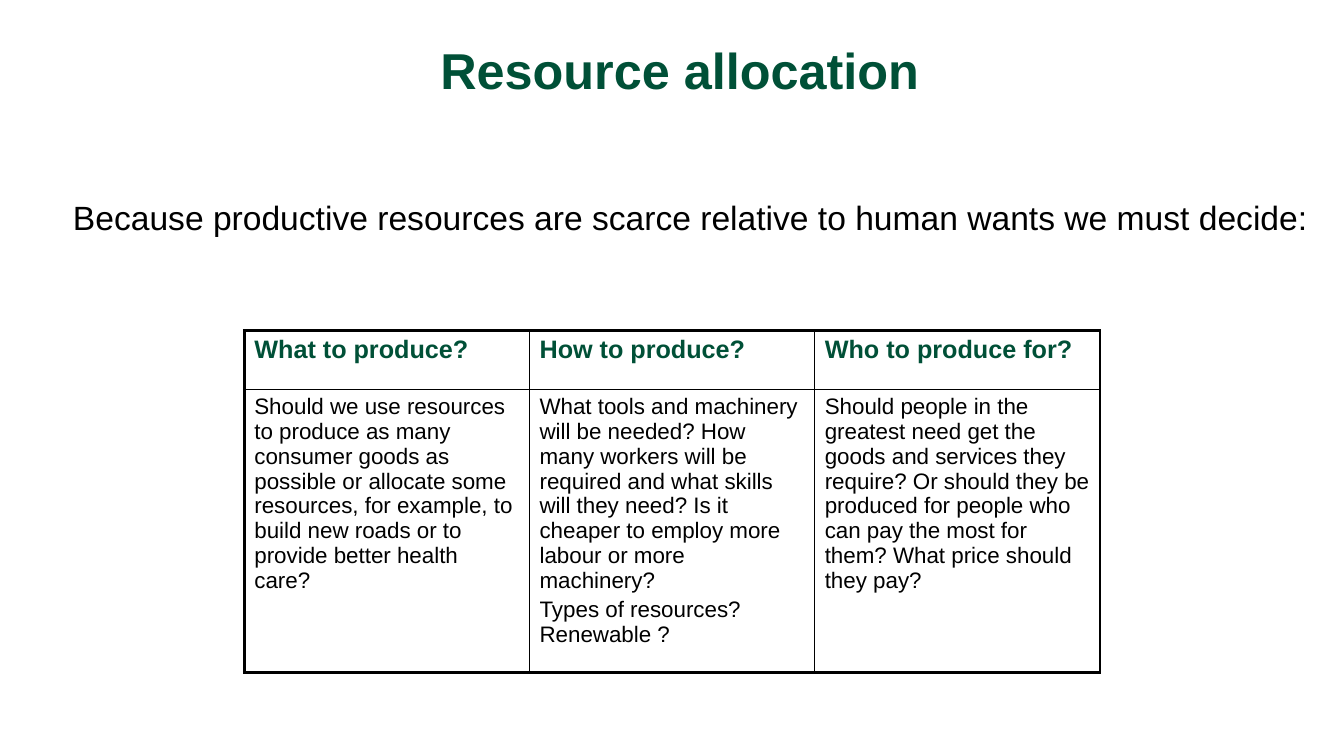
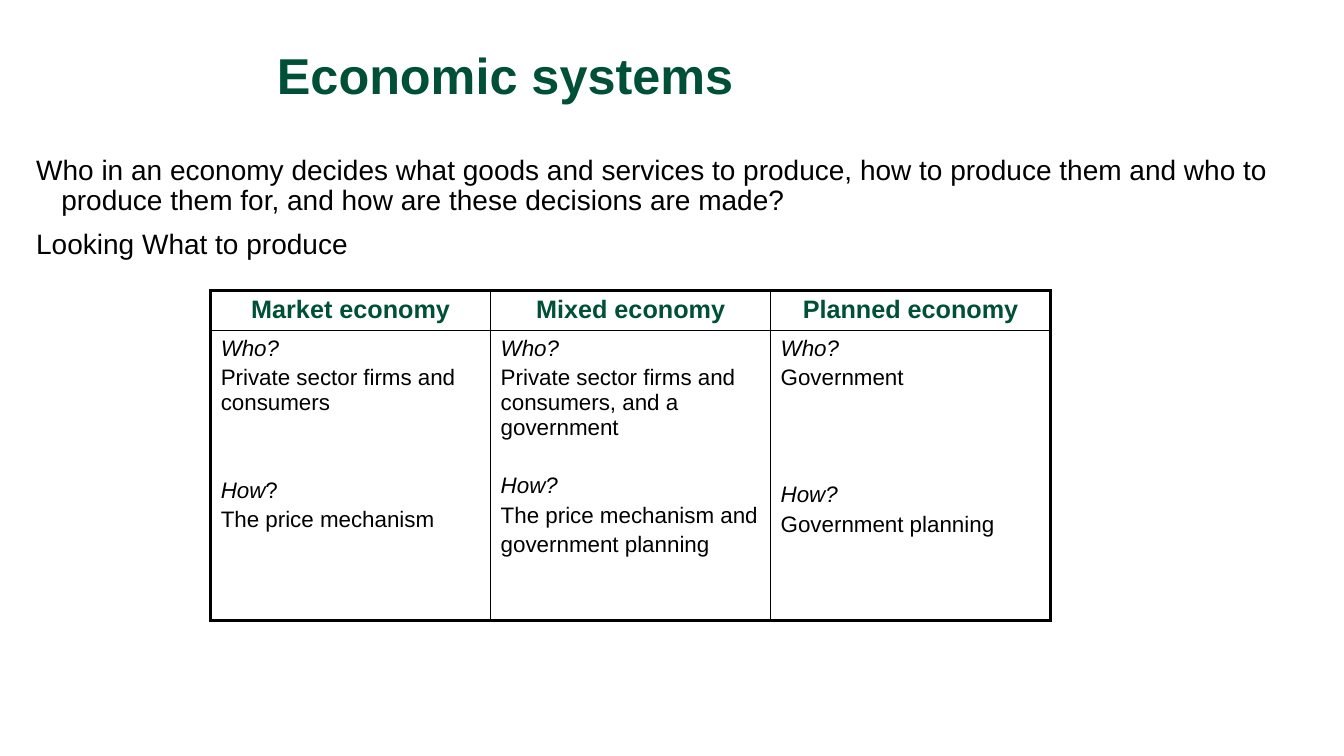
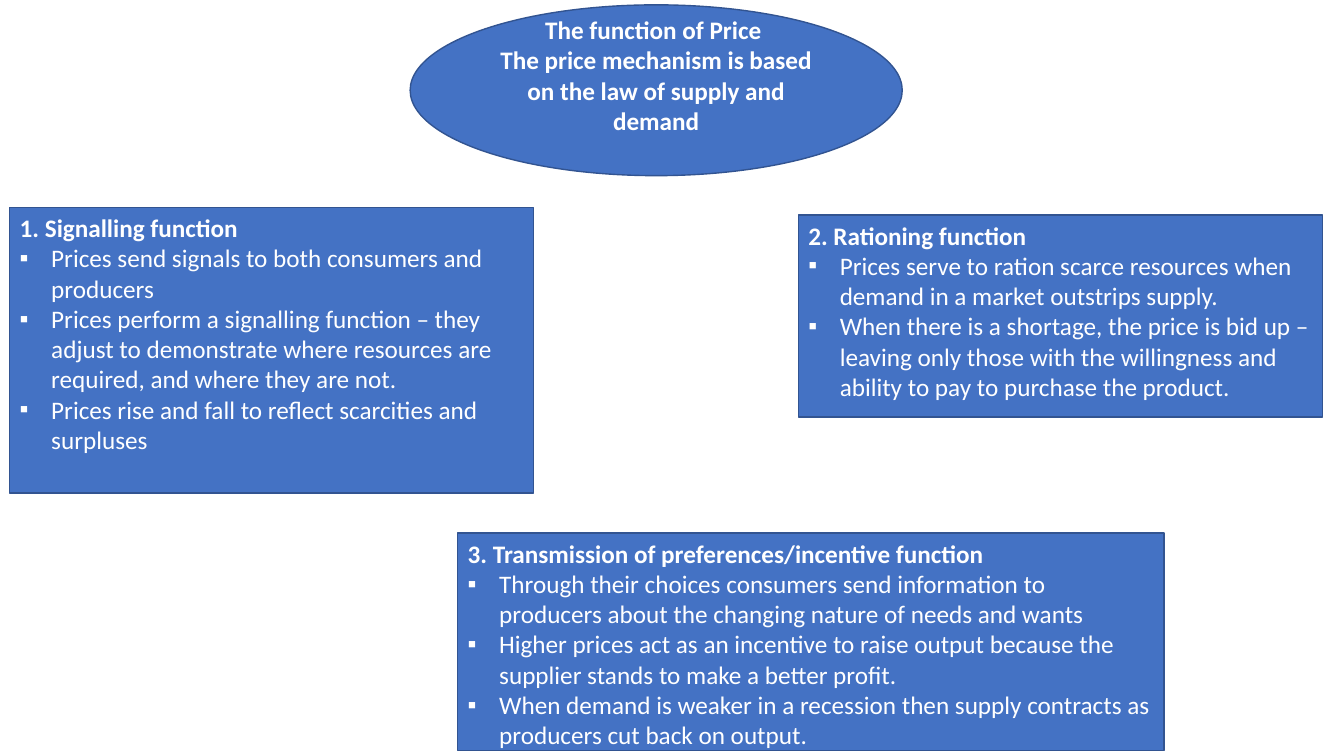
from lxml import etree
from pptx import Presentation
from pptx.dml.color import RGBColor
from pptx.enum.shapes import MSO_SHAPE
from pptx.enum.text import MSO_ANCHOR, MSO_AUTO_SIZE, PP_ALIGN
from pptx.oxml.ns import qn
from pptx.util import Pt

LEFT, CENTER = PP_ALIGN.LEFT, PP_ALIGN.CENTER
TOP, MIDDLE = MSO_ANCHOR.TOP, MSO_ANCHOR.MIDDLE
NO_FIT = MSO_AUTO_SIZE.NONE
OVAL, RECT = MSO_SHAPE.OVAL, MSO_SHAPE.RECTANGLE
TITLE_ONLY, BLANK = 5, 6

COLORS = {
    "green": "005037",
    "black": "000000",
    "white": "FFFFFF",
    "blue": "4472C4",
    "navy": "325491",
}
TITLE = dict(color="green", bold=True, spacing=0.9)
BODY = dict(spacing=0.9, before=10, indent=18)
HEAD = dict(size=18, color="green", bold=True)
CELL = dict(size=16, before=3.2)
BOX = dict(size=18, color="white", font="Calibri")
THICK, THIN = 2.25, 1


def write(tf, text, size=18, color="black", font="Arial", bold=False,
          italic=False, align=LEFT, before=0, spacing=1.0, indent=0,
          bullet=None, join=False):
    """Add a paragraph, or with join a further run in the last one."""
    if join or not tf.text:
        p = tf.paragraphs[-1]
    else:
        p = tf.add_paragraph()
    if not join:
        p.alignment = align
        p.space_before = Pt(before)
        p.line_spacing = spacing
        pPr = p._p.get_or_add_pPr()
        pPr.set("marL", str(Pt(indent)))
        pPr.set("indent", str(-Pt(indent)))
        if bullet:
            etree.SubElement(pPr, qn("a:buFont"), typeface="Arial")
            etree.SubElement(pPr, qn("a:buChar"), char=bullet)
        else:
            etree.SubElement(pPr, qn("a:buNone"))
    r = p.add_run()
    r.text = text
    r.font.name = font
    r.font.size = Pt(size)
    r.font.bold = bold
    r.font.italic = italic
    r.font.color.rgb = RGBColor.from_string(COLORS[color])


def add_grid(slide, left, top, col_width, heads, row_heights, align):
    """Add a two-row table with a thick frame and return its body cells."""
    rows, cols = len(row_heights), len(heads)
    table = slide.shapes.add_table(
        rows, cols, Pt(left), Pt(top),
        Pt(col_width * cols), Pt(sum(row_heights))).table
    for column in table.columns:
        column.width = Pt(col_width)
    for y, height in enumerate(row_heights):
        table.rows[y].height = Pt(height)
        for x in range(cols):
            cell = table.cell(y, x)
            cell.fill.background()
            outer = {"L": x == 0, "R": x == cols - 1,
                     "T": y == 0, "B": y == rows - 1}
            tcPr = cell._tc.get_or_add_tcPr()
            for i, (side, thick) in enumerate(outer.items()):
                width = Pt(THICK if thick else THIN)
                ln = etree.Element(qn("a:ln" + side), w=str(width))
                fill = etree.SubElement(ln, qn("a:solidFill"))
                etree.SubElement(fill, qn("a:srgbClr"), val=COLORS["black"])
                tcPr.insert(i, ln)
    for x, head in enumerate(heads):
        write(table.cell(0, x).text_frame, head, align=align, **HEAD)
    return [table.cell(1, x).text_frame for x in range(cols)]


prs = Presentation()
prs.slide_width, prs.slide_height = Pt(960), Pt(540)

# Titles and introductions
topics = [
    ("Resource allocation", (100, 22.5, 760, 57), CENTER,
     (45, 140, 912, 40), 24,
     ["Because productive resources are scarce relative to human wants "
      "we must decide:"]),
    ("Economic systems", (179.5, 9.5, 612, 90), LEFT,
     (18.75, 108, 941, 91), 20,
     ["Who in an economy decides what goods and services to produce, how to "
      "produce them and who to produce them for, and how are these decisions "
      "are made?",
      "Looking What to produce"]),
]
topic_slides = []
for title, title_at, align, intro_at, size, intro in topics:
    s = prs.slides.add_slide(prs.slide_layouts[TITLE_ONLY])
    sp = s.shapes.title
    sp.left, sp.top, sp.width, sp.height = map(Pt, title_at)
    sp.fill.solid()
    sp.fill.fore_color.rgb = RGBColor.from_string(COLORS["white"])
    tf = sp.text_frame
    tf.auto_size = NO_FIT
    tf.vertical_anchor = MIDDLE
    write(tf, " ", size=40, align=align, **TITLE)
    write(tf, title, size=36, join=True, **TITLE)

    tf = s.shapes.add_textbox(*map(Pt, intro_at)).text_frame
    tf.word_wrap = True
    for text in intro:
        write(tf, text, size=size, **BODY)
    topic_slides.append(s)
allocation, systems = topic_slides

# Resource allocation: the three questions
questions = {
    "What to produce?": [
        "Should we use resources to produce as many consumer goods as "
        "possible or allocate some resources, for example, to build new "
        "roads or to provide better health care?"],
    "How to produce?": [
        "What tools and machinery will be needed? How many workers will be "
        "required and what skills will they need? Is it cheaper to employ "
        "more labour or more machinery?",
        "Types of resources? Renewable ?"],
    "Who to produce for?": [
        "Should people in the greatest need get the goods and services they "
        "require? Or should they be produced for people who can pay the most "
        "for them? What price should they pay?"],
}
cells = add_grid(allocation, 174.5, 236, 203.75, questions, (42, 160.5), LEFT)
for tf, texts in zip(cells, questions.values()):
    for text in texts:
        write(tf, text, **CELL)

# Economic systems: who decides, the gap above "How?", how they decide
economies = {
    "Market economy": (
        "Private sector firms and consumers", 45,
        ["The price mechanism"]),
    "Mixed economy": (
        "Private sector firms and consumers, and a government", 24,
        ["The price mechanism and", "government planning"]),
    "Planned economy": (
        "Government", 66,
        ["Government planning"]),
}
cells = add_grid(systems, 150.5, 207.5, 200, economies, (28.5, 207), CENTER)
for tf, (who, gap, how) in zip(cells, economies.values()):
    write(tf, "Who?", italic=True, **CELL)
    write(tf, who, **CELL)
    write(tf, "How", size=16, italic=True, before=gap)
    write(tf, "?", size=16, italic=tf is not cells[0], join=True)
    for text in how:
        write(tf, text, **CELL)

# The function of price
s = prs.slides.add_slide(prs.slide_layouts[BLANK])
boxes = [
    (OVAL, (293, 3.5, 351.5, 122),
     ["The function of Price ",
      "The price mechanism is based on the law of supply and demand"], []),
    (RECT, (7, 148.25, 374.25, 204),
     ["1. Signalling function"],
     ["Prices send signals to both consumers and producers",
      "Prices perform a signalling function – they adjust to demonstrate "
      "where resources are required, and where they are not.",
      "Prices rise and fall to reflect scarcities and surpluses"]),
    (RECT, (570.25, 153.5, 374.25, 144.25),
     ["2. Rationing function"],
     ["Prices serve to ration scarce resources when demand in a market "
      "outstrips supply.",
      "When there is a shortage, the price is bid up – leaving only those "
      "with the willingness and ability to pay to purchase the product."]),
    (RECT, (327, 380.75, 504.5, 155.5),
     ["3. Transmission of preferences/incentive function"],
     ["Through their choices consumers send information to "
      "producers about the changing nature of needs and wants",
      "Higher prices act as an incentive to raise output because the "
      "supplier stands to make a better profit.",
      "When demand is weaker in a recession then supply contracts as "
      "producers cut back on output."]),
]
for kind, at, heads, points in boxes:
    sp = s.shapes.add_shape(kind, *map(Pt, at))
    sp.shadow.inherit = False
    sp.fill.solid()
    sp.fill.fore_color.rgb = RGBColor.from_string(COLORS["blue"])
    sp.line.color.rgb = RGBColor.from_string(COLORS["navy"])
    sp.line.width = Pt(1)
    tf = sp.text_frame
    tf.word_wrap = True
    tf.vertical_anchor = MIDDLE if kind == OVAL else TOP
    if kind == OVAL:
        tf.margin_bottom = Pt(25.5)
    else:
        tf.margin_right = Pt(9)
    for text in heads:
        write(tf, text, bold=True, align=CENTER if kind == OVAL else LEFT, **BOX)
    for text in points:
        write(tf, text, indent=22.5, bullet="▪", **BOX)

prs.save("out.pptx")
